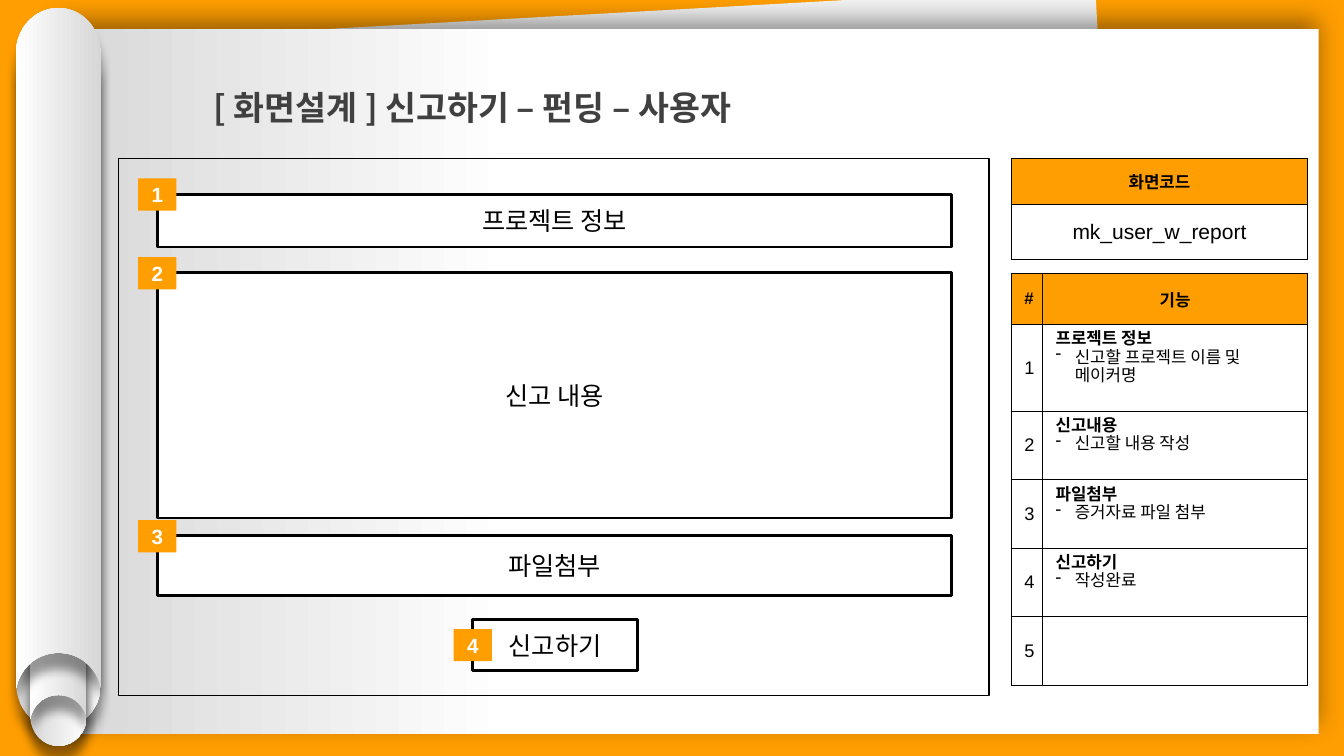
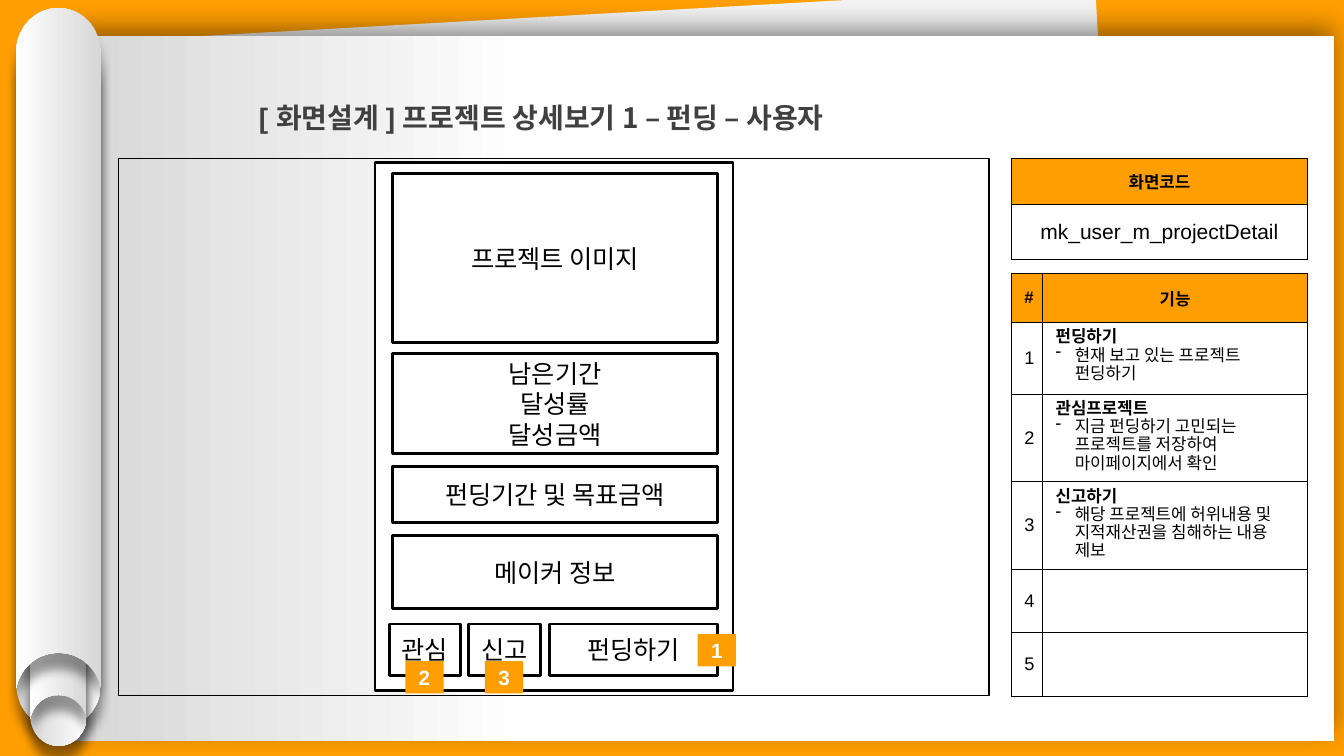
from lxml import etree
from pptx import Presentation
from pptx.dml.color import RGBColor
from pptx.enum.shapes import MSO_SHAPE
from pptx.enum.text import MSO_ANCHOR, PP_ALIGN
from pptx.oxml.ns import qn
from pptx.util import Inches, Pt

RECT = MSO_SHAPE.RECTANGLE
MID, TOP = MSO_ANCHOR.MIDDLE, MSO_ANCHOR.TOP
MIDDLE, LEFT = PP_ALIGN.CENTER, PP_ALIGN.LEFT

THEME = {
    "accent": "FF9E00", "ink": "000000", "paper": "FFFFFF",
    "shade": "D7D7D7", "back": "F2F2F2", "title": "404040",
    "latin": "Arial", "hangul": "Noto Sans CJK KR",
    "box": 18, "badge": 14.7, "head": 12, "code": 15, "num": 13, "note": 12,
    "thick": 2, "thin": 0.75, "lead": 13, "hang": 0.19,
}

SIZE = (13.33, 7.5)
FRAME = (1.18, 1.57, 8.63, 5.33)
BADGE = (0.38, 0.32)
SIDE = 10.03
COLS = (0.31, 2.63)
ROLLS = [
    (0.16, 0.48, 0.84, 6.75, 180),
    (0.30, 2.88, 0.56, 4.52, 180),
    (0.30, 2.61, 0.56, 4.52, 0),
    (0.16, 0.08, 0.84, 6.75, 0),
]

WIDE, CARD, FOOT = (1.56, 7.88), (3.89, 3.23), (6.19, 0.51)

PAGES = [
    {
        "page": (0.58, 0.29),
        "title": (2.02, 0.61, 9.61, 0.71),
        "size": 24,
        "runs": [("[ 화면설계 ] 신고하기 – 펀딩 – 사용자", "hangul")],
        "code": "mk_user_w_report",
        "rows": (0.51, 0.86, 0.68, 0.68, 0.68, 0.68),
        "notes": [
            ("프로젝트 정보", "신고할 프로젝트 이름 및 메이커명"),
            ("신고내용", "신고할 내용 작성"),
            ("파일첨부", "증거자료 파일 첨부"),
            ("신고하기", "작성완료"),
            None,
        ],
        "boxes": [
            ("프로젝트 정보", WIDE, (1.93, 0.52)),
            ("신고 내용", WIDE, (2.7, 2.44)),
            ("파일첨부", WIDE, (5.31, 0.6)),
            ("신고하기", (4.69, 1.63), (6.15, 0.5)),
        ],
        "badges": [(1.37, 1.77), (1.37, 2.55), (1.37, 5.16), (4.5, 6.24)],
    },
    {
        "page": (0.73, 0.36),
        "title": (2.47, 0.78, 9.61, 0.61),
        "size": 20,
        "runs": [("[ 화면설계 ] ", "latin"),
                 ("프로젝트 상세보기 1 – 펀딩 ", "hangul"),
                 ("– 사용자", "latin")],
        "code": "mk_user_m_projectDetail",
        "rows": (0.49, 0.71, 0.87, 0.87, 0.63, 0.63),
        "notes": [
            ("펀딩하기", "현재 보고 있는 프로젝트 펀딩하기"),
            ("관심프로젝트", "지금 펀딩하기 고민되는 프로젝트를 저장하여 마이페이지에서 확인"),
            ("신고하기", "해당 프로젝트에 허위내용 및 지적재산권을 침해하는 내용 제보"),
            None,
            None,
        ],
        "boxes": [
            ("", (3.72, 3.55), (1.61, 5.24)),
            ("프로젝트 이미지", CARD, (1.72, 1.68)),
            ("펀딩기간 및 목표금액", CARD, (4.63, 0.55)),
            ("남은기간\n달성률\n달성금액", CARD, (3.51, 0.99)),
            ("메이커 정보", CARD, (5.31, 0.73)),
            ("펀딩하기", (5.45, 1.67), FOOT),
            ("관심", (3.86, 0.71), FOOT),
            ("신고", (4.65, 0.71), FOOT),
        ],
        "badges": [(6.92, 6.29), (4.02, 6.56), (4.81, 6.56)],
    },
]


def tint(name):
    return RGBColor.from_string(THEME[name])


def style(run, size, hue="ink", bold=False, face="latin"):
    font = run.font
    font.size, font.bold, font.name = Pt(size), bold, THEME[face]
    font.color.rgb = tint(hue)


def write(frame, text, size, hue="ink", bold=False, align=MIDDLE):
    frame.text = text
    for para in frame.paragraphs:
        para.alignment = align
        for run in para.runs:
            style(run, size, hue, bold)


def rect(slide, at, fill=None, line=None):
    shape = slide.shapes.add_shape(RECT, *map(Inches, at))
    shape.shadow.inherit = False
    if fill:
        shape.fill.solid()
        shape.fill.fore_color.rgb = tint(fill)
    else:
        shape.fill.background()
    if line:
        shape.line.color.rgb = tint("ink")
        shape.line.width = Pt(THEME[line])
    else:
        shape.line.fill.background()
    return shape


def label(shape, text, size, hue="ink", bold=False):
    frame = shape.text_frame
    frame.word_wrap = True
    frame.vertical_anchor = MID
    write(frame, text, size, hue, bold)


def shine(shape, stops):
    shape.fill.gradient()
    shape.fill.gradient_angle = 180
    for stop, (spot, hue) in zip(shape.fill.gradient_stops, stops):
        stop.position = spot
        stop.color.rgb = tint(hue)


def cast(shape, blur, dist, angle):
    shape.shadow.inherit = False
    glow = shape._element.spPr.find(qn("a:effectLst"))
    shade = etree.SubElement(
        glow, qn("a:outerShdw"), blurRad=str(Pt(blur)), dist=str(Pt(dist)),
        dir=str(angle * 60000), algn="ctr", rotWithShape="0")
    hue = etree.SubElement(shade, qn("a:srgbClr"), val=THEME["ink"])
    etree.SubElement(hue, qn("a:alpha"), val="40000")


def bend(line, dots):
    curve = etree.Element(qn("a:cubicBezTo"))
    for x, y in dots:
        etree.SubElement(curve, qn("a:pt"), x=str(Inches(x)), y=str(Inches(y)))
    line.getparent().replace(line, curve)


def roll(slide, left, top, wide, high, turn):
    half, cap, dip = wide / 2, wide * 0.53, wide * 0.42
    rim, lip = wide * 0.02, wide * 0.08
    low = high - lip
    ends = [(half, 0), (wide, cap), (wide, high), (wide - rim, low),
            (half, high - dip), (rim, low), (0, high), (0, cap), (half, 0)]
    pulls = {
        1: [(wide * 0.78, 0), (wide, cap * 0.45)],
        4: [(wide * 0.9, high - wide * 0.29), (wide * 0.72, high - dip)],
        5: [(wide * 0.28, high - dip), (wide * 0.1, high - wide * 0.29)],
        8: [(0, cap * 0.45), (wide * 0.22, 0)],
    }
    dots = [(Inches(left + x), Inches(top + y)) for x, y in ends]
    form = slide.shapes.build_freeform(*dots[0], scale=1.0)
    form.add_line_segments(dots[1:], close=True)
    shape = form.convert_to_shape()
    lines = list(shape._element.iter(qn("a:lnTo")))
    for spot, pull in pulls.items():
        bend(lines[spot - 1], pull + [ends[spot]])
    shape.rotation = turn
    shape.line.fill.background()
    shine(shape, [(0, "shade"), (1, "paper")])
    cast(shape, 7, 11, 90)


def scene(slide, page):
    rect(slide, (0.91, 0.14, 10.15, 6.8), "back").rotation = 356.8
    sheet = rect(slide, (*page, 12.5, 6.99), "paper")
    shine(sheet, [(0.64, "paper"), (1, "shade")])
    cast(sheet, 18, 6, 270)
    for part in ROLLS:
        roll(slide, *part)
    rect(slide, FRAME, line="thin")


def title(slide, data):
    frame = slide.shapes.add_textbox(*map(Inches, data["title"])).text_frame
    frame.word_wrap = True
    para = frame.paragraphs[0]
    para.line_spacing = 1.5
    for text, face in data["runs"]:
        run = para.add_run()
        run.text = text
        style(run, data["size"], "title", True, face)


def edge(cell):
    props = cell._tc.get_or_add_tcPr()
    for spot, side in enumerate(("lnL", "lnR", "lnT", "lnB")):
        line = etree.Element(qn("a:" + side), w=str(Pt(THEME["thin"])))
        fill = etree.SubElement(line, qn("a:solidFill"))
        etree.SubElement(fill, qn("a:srgbClr"), val=THEME["ink"])
        props.insert(spot, line)


def grid(slide, top, cols, rows):
    at = map(Inches, (SIDE, top, sum(cols), sum(rows)))
    table = slide.shapes.add_table(len(rows), len(cols), *at).table
    table.first_row = table.horz_banding = False
    for col, wide in zip(table.columns, cols):
        col.width = Inches(wide)
    for row, high in zip(table.rows, rows):
        row.height = Inches(high)
    for cell in table.iter_cells():
        cell.margin_left = cell.margin_right = Inches(0.13)
        cell.margin_top = cell.margin_bottom = Inches(0.07)
        cell.vertical_anchor = MID
        cell.fill.background()
        edge(cell)
    return table


def head(table, names):
    for cell, name in zip(table.rows[0].cells, names):
        cell.fill.solid()
        cell.fill.fore_color.rgb = tint("accent")
        write(cell.text_frame, name, THEME["head"], bold=True)


def dash(para):
    props = para._p.get_or_add_pPr()
    hang = Inches(THEME["hang"])
    props.set("marL", str(hang))
    props.set("indent", str(-hang))
    hue = etree.SubElement(props, qn("a:buClr"))
    etree.SubElement(hue, qn("a:srgbClr"), val=THEME["ink"])
    etree.SubElement(props, qn("a:buChar"), char="-")


def note(cell, pair):
    cell.vertical_anchor = TOP
    write(cell.text_frame, "\n".join(pair), THEME["note"], align=LEFT)
    name, body = cell.text_frame.paragraphs
    name.runs[0].font.bold = True
    dash(body)
    for para in (name, body):
        para.line_spacing = Pt(THEME["lead"])


def panel(slide, data):
    code = grid(slide, FRAME[1], (sum(COLS),), (0.46, 0.54))
    head(code, ["화면코드"])
    write(code.cell(1, 0).text_frame, data["code"], THEME["code"])
    table = grid(slide, 2.71, COLS, data["rows"])
    head(table, ["#", "기능"])
    for num, pair in enumerate(data["notes"], 1):
        write(table.cell(num, 0).text_frame, str(num), THEME["num"])
        if pair:
            note(table.cell(num, 1), pair)


def mock(slide, data):
    for text, (left, wide), (top, high) in data["boxes"]:
        shape = rect(slide, (left, top, wide, high), "paper", "thick")
        if text:
            label(shape, text, THEME["box"])
    for num, spot in enumerate(data["badges"], 1):
        shape = rect(slide, (*spot, *BADGE), "accent")
        label(shape, str(num), THEME["badge"], "paper", True)


def main():
    deck = Presentation()
    deck.slide_width, deck.slide_height = map(Inches, SIZE)
    back = deck.slide_master.background.fill
    back.solid()
    back.fore_color.rgb = tint("accent")
    for data in PAGES:
        slide = deck.slides.add_slide(deck.slide_layouts[6])
        scene(slide, data["page"])
        title(slide, data)
        mock(slide, data)
        panel(slide, data)
    deck.save("out.pptx")


if __name__ == "__main__":
    main()
